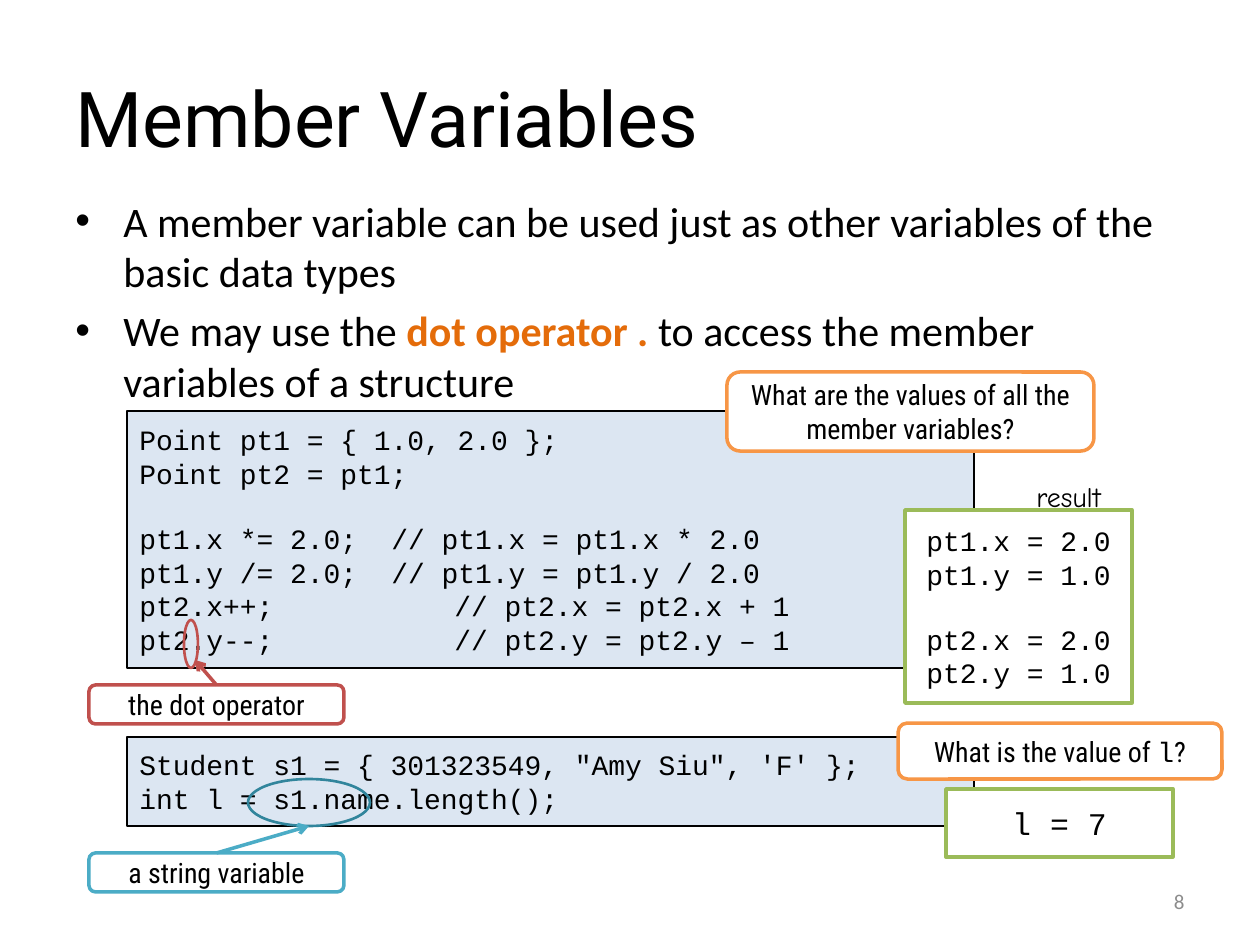
from pptx import Presentation
from pptx.dml.color import RGBColor
from pptx.enum.shapes import MSO_CONNECTOR, MSO_SHAPE
from pptx.enum.text import MSO_ANCHOR, PP_ALIGN
from pptx.oxml.ns import qn
from pptx.util import Pt
from lxml.etree import SubElement

PX = 914400 / 126
BLACK = RGBColor(0x00, 0x00, 0x00)
WHITE = RGBColor(0xFF, 0xFF, 0xFF)
GRAY = RGBColor(0x8C, 0x8C, 0x8C)
PALE_BLUE = RGBColor(0xDC, 0xE6, 0xF2)
ORANGE = RGBColor(0xF7, 0x96, 0x46)
DARK_ORANGE = RGBColor(0xE4, 0x6C, 0x0A)
GREEN = RGBColor(0x9B, 0xBB, 0x59)
TEAL = RGBColor(0x31, 0x85, 0x9C)
AQUA = RGBColor(0x4B, 0xAC, 0xC6)
RED = RGBColor(0xC0, 0x50, 0x4D)

BODY, CODE, NOTE = "Calibri", "Courier New", "Roboto Condensed"
EMPHASIS = {"color": DARK_ORANGE, "bold": True}

BULLETS = [
    [("A member variable can be used just as other variables of the basic data types", {})],
    [("We may use the ", {}), ("dot operator .", EMPHASIS),
     (" to access the member variables of a structure", {})],
]
POINT_CODE = [
    ["Point pt1 = { 1.0, 2.0 };", "Point pt2 = pt1;"],
    ["pt1.x *= 2.0;\t// pt1.x = pt1.x * 2.0", "pt1.y /= 2.0;\t// pt1.y = pt1.y / 2.0",
     "pt2.x++;\t// pt2.x = pt2.x + 1", "pt2.y--;\t// pt2.y = pt2.y – 1"],
]
TAB_STOPS = {"pt1": 252, "pt2": 315}
POINT_RESULT = [["pt1.x = 2.0", "pt1.y = 1.0"], ["pt2.x = 2.0", "pt2.y = 1.0"]]
STUDENT_CODE = [["Student s1 = { 301323549, \"Amy Siu\", 'F' };", "int l = s1.name.length();"]]
LENGTH_QUESTION = [("What is the value of ", {}), ("l", {"name": CODE}), ("?", {})]


def emu(*lengths):
    return [round(length * PX) for length in lengths]


def write(box, paragraphs, font, size, color=BLACK, align=PP_ALIGN.LEFT,
          anchor=MSO_ANCHOR.MIDDLE, wrap=True):
    frame = box.text_frame
    frame.word_wrap = wrap
    frame.vertical_anchor = anchor
    for index, spans in enumerate(paragraphs):
        para = frame.paragraphs[0] if index == 0 else frame.add_paragraph()
        para.alignment = align
        for text, style in [(spans, {})] if isinstance(spans, str) else spans:
            span = para.add_run()
            span.text = text
            if "name" in style:
                span.font.name = style["name"]
            if "bold" in style:
                span.font.bold = style["bold"]
            if "color" in style:
                span.font.color.rgb = style["color"]
        if "\t" in para.text:
            tabs = SubElement(para._p.get_or_add_pPr(), qn("a:tabLst"))
            stop = emu(TAB_STOPS[para.text[:3]])[0]
            SubElement(tabs, qn("a:tab"), pos=str(stop), algn="l")
        para.font.name = font
        para.font.size = Pt(size)
        para.font.color.rgb = color
    return frame


def write_groups(box, groups, align=PP_ALIGN.LEFT):
    frame = write(box, [line for group in groups for line in group], CODE, 16, align=align)
    start = 0
    for group in groups[:-1]:
        start += len(group)
        frame.paragraphs[start].space_before = Pt(18)


def add_text(page, place, paragraphs, font, size, **options):
    return write(page.shapes.add_textbox(*emu(*place)), paragraphs, font, size, **options)


def add_box(page, kind, place, line, width, fill=None):
    box = page.shapes.add_shape(kind, *emu(*place))
    box.shadow.inherit = False
    if fill is None:
        box.fill.background()
    else:
        box.fill.solid()
        box.fill.fore_color.rgb = fill
    box.line.color.rgb = line
    box.line.width = Pt(width)
    return box


def add_code(page, place, groups):
    write_groups(add_box(page, MSO_SHAPE.RECTANGLE, place, BLACK, 0.75, PALE_BLUE), groups)


def add_result(page, place):
    return add_box(page, MSO_SHAPE.RECTANGLE, place, GREEN, 2, WHITE)


def add_note(page, place, spans, line):
    note = add_box(page, MSO_SHAPE.ROUNDED_RECTANGLE, place, line, 2, WHITE)
    write(note, [spans], NOTE, 16, align=PP_ALIGN.CENTER)
    return note


def add_pointer(page, note, tip, color):
    pointer = page.shapes.add_connector(MSO_CONNECTOR.STRAIGHT, 0, 0, *emu(*tip))
    pointer.begin_connect(note, 0)
    pointer.line.color.rgb = color
    pointer.line.width = Pt(2)
    SubElement(pointer.line._get_or_add_ln(), qn("a:tailEnd"), type="arrow")
    SubElement(pointer._element.spPr, qn("a:effectLst"))


def add_bullets(page, place):
    frame = add_text(page, place, [], BODY, 24, anchor=MSO_ANCHOR.TOP)
    indent = emu(48)[0]
    for index in range(len(BULLETS)):
        para = frame.paragraphs[0] if index == 0 else frame.add_paragraph()
        props = para._p.get_or_add_pPr()
        props.set("marL", str(indent))
        props.set("indent", str(-indent))
        SubElement(props, qn("a:buFont"), typeface="Arial")
        SubElement(props, qn("a:buChar"), char="•")
        para.space_before = Pt(5 if index else 0)
        for text, style in BULLETS[index]:
            span = para.add_run()
            span.text = text
            if style:
                span.font.bold = style["bold"]
                span.font.color.rgb = style["color"]
        para.font.name = BODY
        para.font.size = Pt(24)
        para.font.color.rgb = BLACK


def main():
    deck = Presentation()
    deck.slide_width, deck.slide_height = emu(1260, 945)
    page = deck.slides.add_slide(deck.slide_layouts[6])

    add_text(page, (63, 38, 1134, 158), ["Member Variables"], "Roboto", 44)
    add_bullets(page, (63, 189, 1134, 222))
    add_text(page, (903, 876, 294, 50), ["8"], BODY, 12, color=GRAY, align=PP_ALIGN.RIGHT)

    add_code(page, (127, 411, 847, 257), POINT_CODE)
    add_note(page, (727, 372, 367, 79), "What are the values of all the member variables?", ORANGE)
    write_groups(add_result(page, (905, 510, 227, 193)), POINT_RESULT, PP_ALIGN.CENTER)
    add_text(page, (1024, 473, 116, 47), ["result"], "Comic Neue", 16,
             anchor=MSO_ANCHOR.TOP, wrap=False)

    add_code(page, (127, 737, 847, 89), STUDENT_CODE)
    write(add_result(page, (946, 789, 227, 68)), ["l = 7"], CODE, 18, align=PP_ALIGN.CENTER)
    add_note(page, (898, 723, 324, 56), LENGTH_QUESTION, ORANGE)

    add_box(page, MSO_SHAPE.OVAL, (248, 779, 122, 47), TEAL, 1.5)
    string_note = add_note(page, (89, 853, 255, 39), "a string variable", AQUA)
    add_pointer(page, string_note, (309, 826), AQUA)

    add_box(page, MSO_SHAPE.OVAL, (184, 620, 14, 48), RED, 1.5)
    dot_note = add_note(page, (89, 685, 255, 39), "the dot operator", RED)
    add_pointer(page, dot_note, (195, 660), RED)

    deck.save("out.pptx")


if __name__ == "__main__":
    main()
